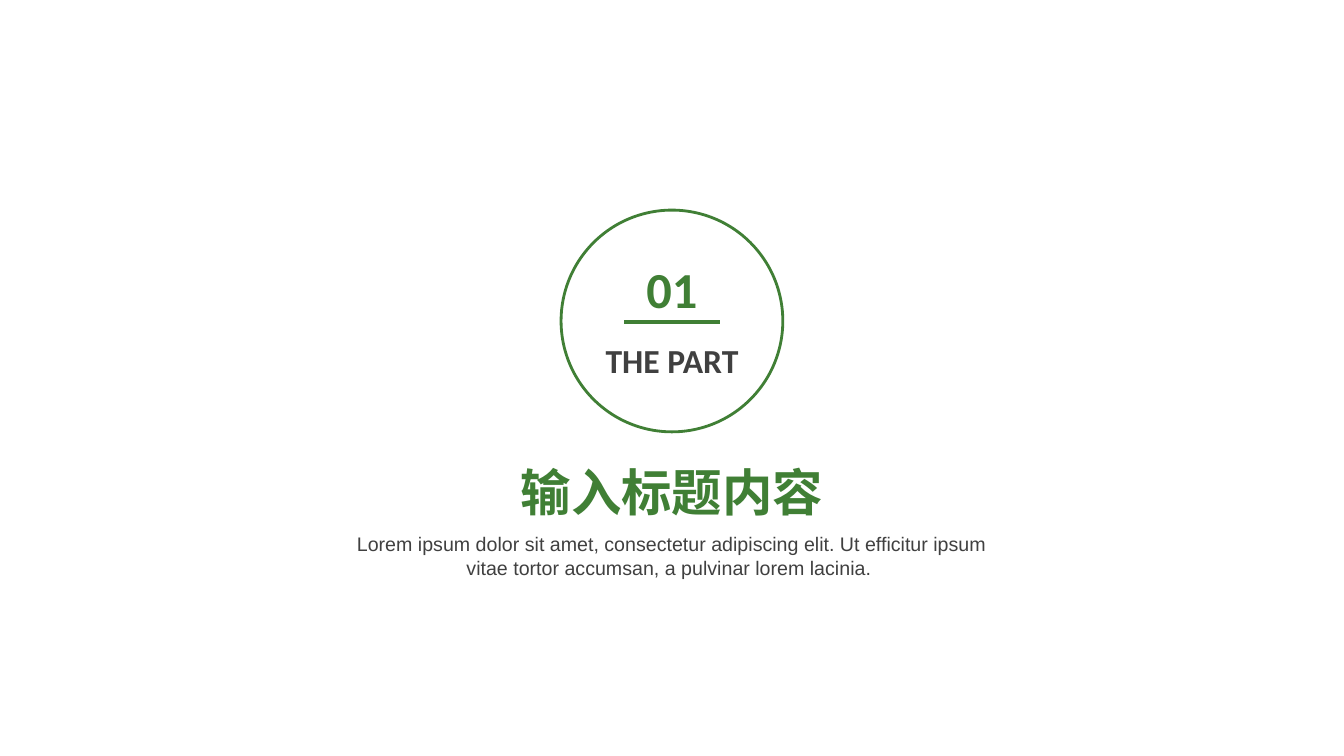
from lxml import etree
from pptx import Presentation
from pptx.dml.color import RGBColor
from pptx.enum import shapes, text
from pptx.oxml.ns import qn
from pptx.util import Pt

GREEN = RGBColor(0x40, 0x7F, 0x35)
GRAY = RGBColor(0x40, 0x40, 0x40)
WHITE = RGBColor(0xFF, 0xFF, 0xFF)


def write(sp, words, size, color, font="Calibri", bold=True, spacing=1.0, wrap=True):
    tf = sp.text_frame
    tf.text = words
    tf.word_wrap = wrap
    tf.auto_size = text.MSO_AUTO_SIZE.NONE
    tf.vertical_anchor = text.MSO_ANCHOR.TOP
    p = tf.paragraphs[0]
    p.alignment = text.PP_ALIGN.CENTER
    p.line_spacing = spacing
    p.space_before = Pt(0)
    p.font.name = font
    p.font.size = Pt(size)
    p.font.bold = bold
    p.font.color.rgb = color


def add_text(s, x, y, w, h, *args, **kwargs):
    sp = s.shapes.add_textbox(Pt(x), Pt(y), Pt(w), Pt(h))
    write(sp, *args, **kwargs)


def add_rule(s, x, y, w, segments=4):
    step = w / segments
    for i in range(segments):
        left = x + i * step
        rule = s.shapes.add_connector(
            shapes.MSO_CONNECTOR.STRAIGHT, Pt(left), Pt(y), Pt(left + step), Pt(y))
        rule.line.color.rgb = GREEN
        rule.line.width = Pt(3)
        etree.SubElement(rule._element.spPr, qn("a:effectLst"))


def add_badge(s, x, y, size, number, label):
    circle = s.shapes.add_shape(
        shapes.MSO_SHAPE.OVAL, Pt(x), Pt(y), Pt(size), Pt(size))
    circle.shadow.inherit = False
    circle.fill.solid()
    circle.fill.fore_color.rgb = WHITE
    circle.line.color.rgb = GREEN
    circle.line.width = Pt(2)

    center = x + size / 2
    rule_w = 68.4
    add_text(s, center - 25.6, y + 17.7, 51.2, 64, number, 36, GREEN,
             spacing=1.3, wrap=False)
    add_text(s, center - 109, y + 80.4, 218, 45.4, label, 24, GRAY, spacing=1.3)
    add_rule(s, center - rule_w / 2, y + 80.1, rule_w)


def add_heading(s, x, y, w, title, summary):
    sp = s.shapes.title
    title_w, title_h = 232.6, 51.1
    sp.left, sp.top = Pt(x + (w - title_w) / 2), Pt(y)
    sp.width, sp.height = Pt(title_w), Pt(title_h)
    write(sp, title, 36, GREEN, wrap=False)
    add_text(s, x, y + 50.6, w, 41, summary, 14, GRAY, font="Arial", bold=False)


def add_section_slide(prs):
    s = prs.slides.add_slide(prs.slide_layouts[5])
    s.background.fill.solid()
    s.background.fill.fore_color.rgb = WHITE
    add_heading(s, 244.1, 325.9, 471.6, "输入标题内容",
                "Lorem ipsum dolor sit amet, consectetur adipiscing elit. "
                "Ut efficitur ipsum vitae tortor accumsan, a pulvinar lorem lacinia. ")
    add_badge(s, 400.8, 150.1, 158.4, "01", "THE PART")


def main():
    prs = Presentation()
    prs.slide_width, prs.slide_height = Pt(960), Pt(540)
    add_section_slide(prs)
    prs.save("out.pptx")


if __name__ == "__main__":
    main()
